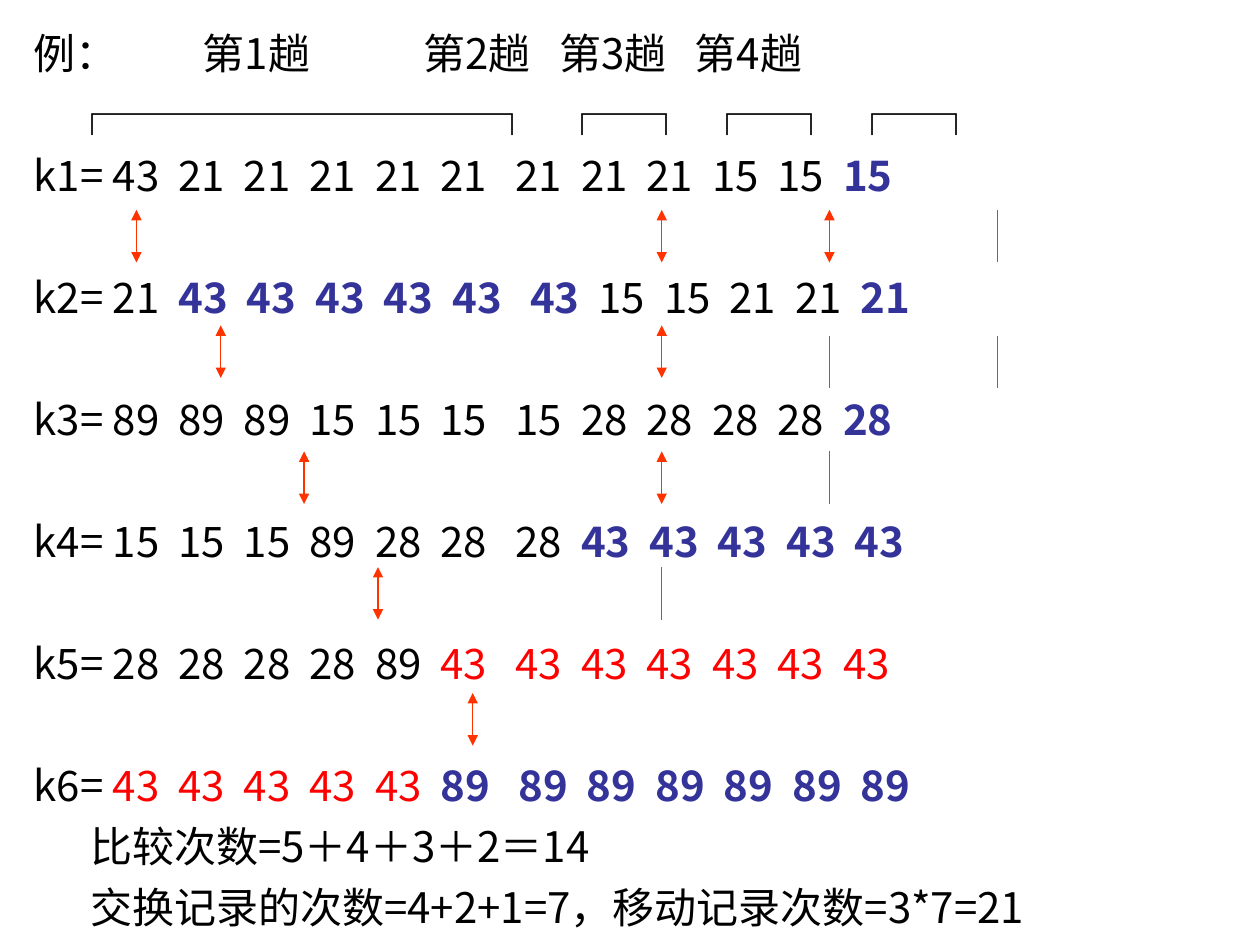
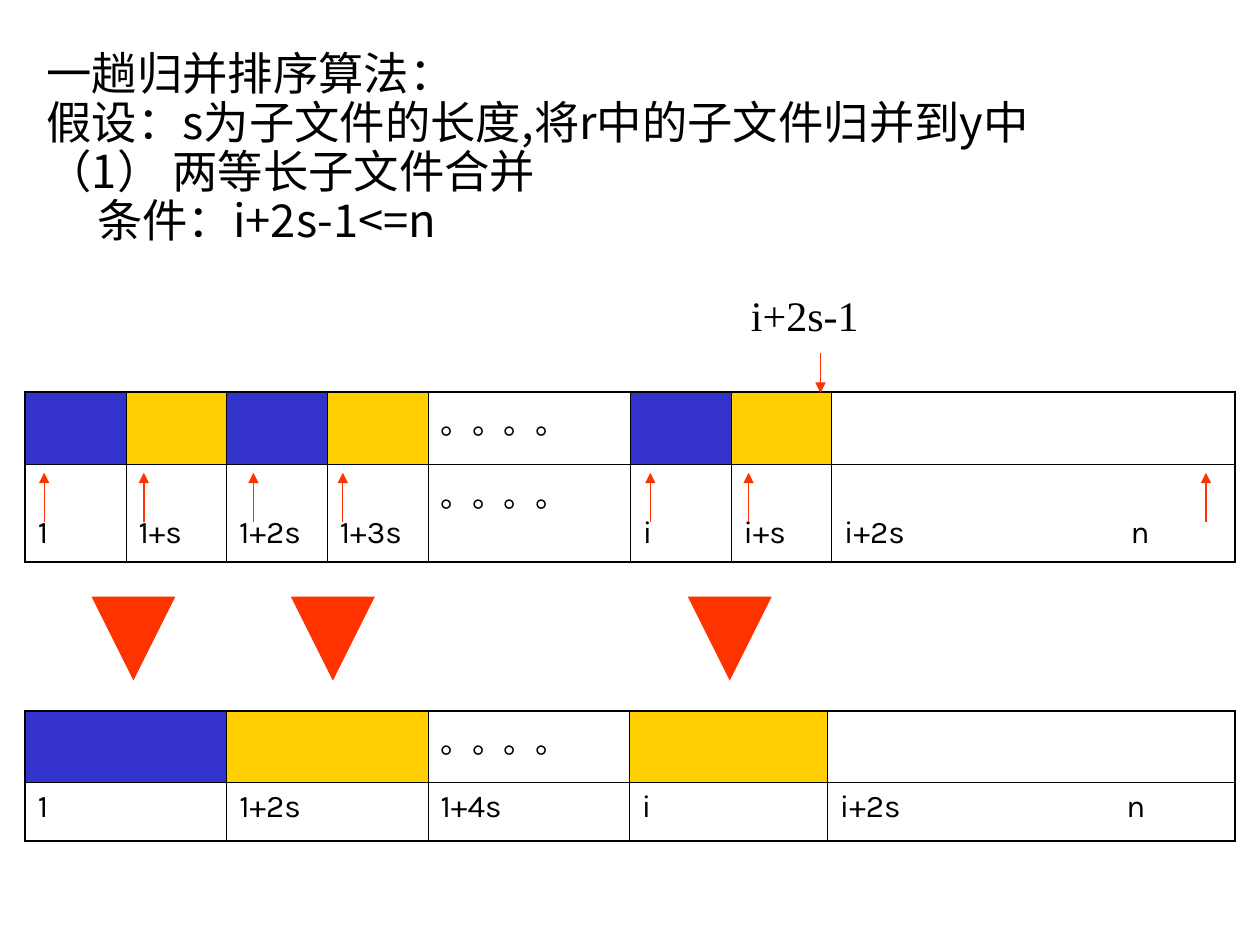
from dataclasses import dataclass
from typing import Any, Optional

from lxml import etree
from pptx import Presentation
from pptx.dml.color import RGBColor
from pptx.enum.shapes import MSO_CONNECTOR
from pptx.enum.text import MSO_ANCHOR, MSO_AUTO_SIZE
from pptx.oxml.ns import qn
from pptx.util import Cm, Pt

STRAIGHT = MSO_CONNECTOR.STRAIGHT
TOP, BOTTOM = MSO_ANCHOR.TOP, MSO_ANCHOR.BOTTOM
FIXED = MSO_AUTO_SIZE.NONE


@dataclass(frozen=True)
class Theme:
    ink: str = "000000"
    done: str = "333399"
    same: str = "FF0000"
    arrow: str = "FF3300"
    blue: str = "3333CC"
    gold: str = "FFCF01"
    body: str = "Noto Sans CJK SC"
    grid: str = "Karla"
    note: str = "Times New Roman"
    large: float = 25.9
    text: float = 24
    cell: float = 18
    thin: float = 0.45
    thick: float = 1.08
    fine: float = 0.75
    broad: float = 16


THEME = Theme()


@dataclass(frozen=True)
class Group:
    nums: str
    color: str = THEME.ink
    bold: bool = False


@dataclass(frozen=True)
class Arrow:
    x: float
    top: float
    end: float
    head: bool = False
    tail: bool = True
    width: float = THEME.fine


@dataclass(frozen=True)
class Cell:
    text: str = ""
    fill: Optional[str] = None
    far: str = ""


@dataclass(frozen=True)
class Grid:
    top: float
    cols: list[float]
    rows: list[float]
    cells: list[list[Cell]]
    low: bool = False


def done(nums: str) -> Group:
    return Group(nums, THEME.done, True)


def same(nums: str) -> Group:
    return Group(nums, THEME.same)


KEYS = [
    [Group("43 21 21 21 21 21 21 21 21 15 15"), done("15")],
    [Group("21"), done("43 43 43 43 43 43"), Group("15 15 21 21"), done("21")],
    [Group("89 89 89 15 15 15 15 28 28 28 28"), done("28")],
    [Group("15 15 15 89 28 28 28"), done("43 43 43 43 43")],
    [Group("28 28 28 28 89"), same("43 43 43 43 43 43 43")],
    [same("43 43 43 43 43"), done("89 89 89 89 89 89 89")],
]
SWAPS = [(2.75, 4.23), (4.45, 6.56), (6.13, 9.1), (7.62, 11.43), (9.53, 13.97),
         (13.34, 4.23), (13.34, 6.56), (13.34, 9.1), (16.72, 4.23)]
STROKES = [(13.34, 11.43), (16.72, 6.77), (16.72, 9.1), (20.11, 4.23), (20.11, 6.77)]
SPAN = 1.06
SPACE = 5.4
FAR = 124.7

DOTS = Cell("。。。。")
LAST = Cell("i+2s", far="n")
BLUE, GOLD = Cell(fill=THEME.blue), Cell(fill=THEME.gold)
SOURCE = Grid(7.9, [2.03] * 4 + [4.08, 2.03, 2.03, 8.13], [1.47, 1.96], [
    [BLUE, GOLD, BLUE, GOLD, DOTS, BLUE, GOLD, Cell()],
    [Cell("1"), Cell("1+s"), Cell("1+2s"), Cell("1+3s"), DOTS,
     Cell("i"), Cell("i+s"), LAST],
], low=True)
MERGED = Grid(14.33, [4.06] * 3 + [3.99, 8.22], [1.44, 1.19], [
    [BLUE, GOLD, DOTS, GOLD, Cell()],
    [Cell("1"), Cell("1+2s"), Cell("1+4s"), Cell("i"), LAST],
])
MARKS = [0.89, 2.9, 5.11, 6.91, 13.11, 15.09, 24.31]
MERGES = [2.69, 6.71, 14.71]


def write(par: Any, text: str, *, size: float = THEME.text, font: str = THEME.body,
          color: str = THEME.ink, bold: bool = False, spread: float = 0) -> None:
    run = par.add_run()
    run.text = text
    run.font.size = Pt(size)
    run.font.name = font
    run.font.bold = bold
    run.font.color.rgb = RGBColor.from_string(color)
    props = run.font._element
    etree.SubElement(props, qn("a:ea"), typeface=font)
    if spread:
        props.set("spc", str(round(spread * 100)))


def line(frame: Any, *, left: float = 0, gap: float = 0, pitch: float = 1) -> Any:
    par = frame.paragraphs[0]
    if par.runs:
        par = frame.add_paragraph()
        par.space_before = Pt(gap)
    par.line_spacing = pitch
    props = par._p.get_or_add_pPr()
    props.set("marL", str(Cm(left)))
    props.set("indent", "0")
    return par


def chain(par: Any, parts: list[str], gaps: list[int]) -> None:
    write(par, parts[0])
    for part, gap in zip(parts[1:], gaps):
        write(par, " ", spread=(gap - 1) * SPACE)
        write(par, part)


def box(slide: Any, x: float, y: float, wide: float, high: float) -> Any:
    frame = slide.shapes.add_textbox(Cm(x), Cm(y), Cm(wide), Cm(high)).text_frame
    frame.word_wrap = True
    frame.auto_size = FIXED
    return frame


def draw(slide: Any, arrow: Arrow) -> None:
    link = slide.shapes.add_connector(
        STRAIGHT, Cm(arrow.x), Cm(arrow.top), Cm(arrow.x), Cm(arrow.end))
    link.line.color.rgb = RGBColor.from_string(THEME.arrow)
    link.line.width = Pt(arrow.width)
    stroke = link.line._get_or_add_ln()
    for tag, shown in (("a:headEnd", arrow.head), ("a:tailEnd", arrow.tail)):
        if shown:
            etree.SubElement(stroke, qn(tag), type="triangle")
    etree.SubElement(link._element.spPr, qn("a:effectLst"))


def edge(cell: Any, sides: dict[str, bool]) -> None:
    props = cell._tc.get_or_add_tcPr()
    for spot, (side, outer) in enumerate(sides.items()):
        width = Pt(THEME.thick if outer else THEME.thin)
        rule = etree.Element(qn("a:ln" + side), w=str(width))
        fill = etree.SubElement(rule, qn("a:solidFill"))
        etree.SubElement(fill, qn("a:srgbClr"), val=THEME.ink)
        props.insert(spot, rule)


def label(cell: Any, item: Cell) -> None:
    par = line(cell.text_frame)
    write(par, item.text, size=THEME.cell, font=THEME.grid)
    if item.far:
        write(par, " ", size=THEME.cell, font=THEME.grid, spread=FAR)
        write(par, item.far, size=THEME.cell, font=THEME.grid)


def table(slide: Any, grid: Grid) -> None:
    rows, cols = len(grid.rows), len(grid.cols)
    form = slide.shapes.add_table(rows, cols, Cm(0.51), Cm(grid.top),
                                  Cm(sum(grid.cols)), Cm(sum(grid.rows))).table
    form.first_row = form.horz_banding = False
    for col, wide in zip(form.columns, grid.cols):
        col.width = Cm(wide)
    for row, high in zip(form.rows, grid.rows):
        row.height = Cm(high)
    for r, items in enumerate(grid.cells):
        for c, item in enumerate(items):
            cell = form.cell(r, c)
            if item.fill:
                cell.fill.solid()
                cell.fill.fore_color.rgb = RGBColor.from_string(item.fill)
            else:
                cell.fill.background()
            edge(cell, {"L": c == 0, "R": c == cols - 1,
                        "T": r == 0, "B": r == rows - 1})
            low = grid.low and r == 1 and item != DOTS
            cell.vertical_anchor = BOTTOM if low else TOP
            if low:
                cell.margin_bottom = Cm(0.22)
            if item == DOTS:
                cell.margin_top = Cm(0.27)
            if item.text:
                label(cell, item)


def trace(slide: Any) -> None:
    frame = box(slide, 0.43, 0.43, 24.97, 18.62)
    chain(line(frame), ["例：", "第1趟", "第2趟", "第3趟", "第4趟"], [9, 12, 3, 3])
    chain(line(frame, left=0.76, gap=6), ["┌─────────┐"] + ["┌─┐"] * 3, [3, 2, 2])
    for n, groups in enumerate(KEYS, 1):
        par = line(frame, gap=40.9 if n > 1 else 6)
        write(par, f"k{n}=")
        place = 0
        for group in groups:
            for num in group.nums.split():
                wide = {0: 0, 6: 2}.get(place, 1)
                write(par, " ", spread=wide * SPACE)
                write(par, num, color=group.color, bold=group.bold)
                place += 1
    for total in ("比较次数=5＋4＋3＋2＝14",
                  "交换记录的次数=4+2+1=7，移动记录次数=3*7=21"):
        write(line(frame, left=1.14, gap=6), total)
    for x, y in SWAPS:
        draw(slide, Arrow(x, y, y + SPAN, head=True))
    for x, y in STROKES:
        draw(slide, Arrow(x, y, y + SPAN, tail=False))


def merge(slide: Any) -> None:
    frame = box(slide, 0.69, 0.91, 23.6, 4.39)
    for text, left in (("一趟归并排序算法：", 0),
                       ("假设：s为子文件的长度,将r中的子文件归并到y中", 0),
                       ("（1） 两等长子文件合并", 0),
                       ("条件：i+2s-1<=n", 1.02)):
        write(line(frame, left=left, pitch=0.9), text, size=THEME.large)
    table(slide, SOURCE)
    for x in MARKS:
        draw(slide, Arrow(x, 10.52, 9.53))
    limit = box(slide, 14.89, 5.72, 3, 1.27)
    write(line(limit), "i+2s-1", font=THEME.note)
    draw(slide, Arrow(16.54, 7.11, 7.92))
    table(slide, MERGED)
    for x in MERGES:
        draw(slide, Arrow(x, 12.32, 13.72, width=THEME.broad))


def main() -> None:
    deck = Presentation()
    deck.slide_width, deck.slide_height = Cm(25.4), Cm(19.05)
    for build in (trace, merge):
        build(deck.slides.add_slide(deck.slide_layouts[6]))
    deck.save("out.pptx")


if __name__ == "__main__":
    main()
